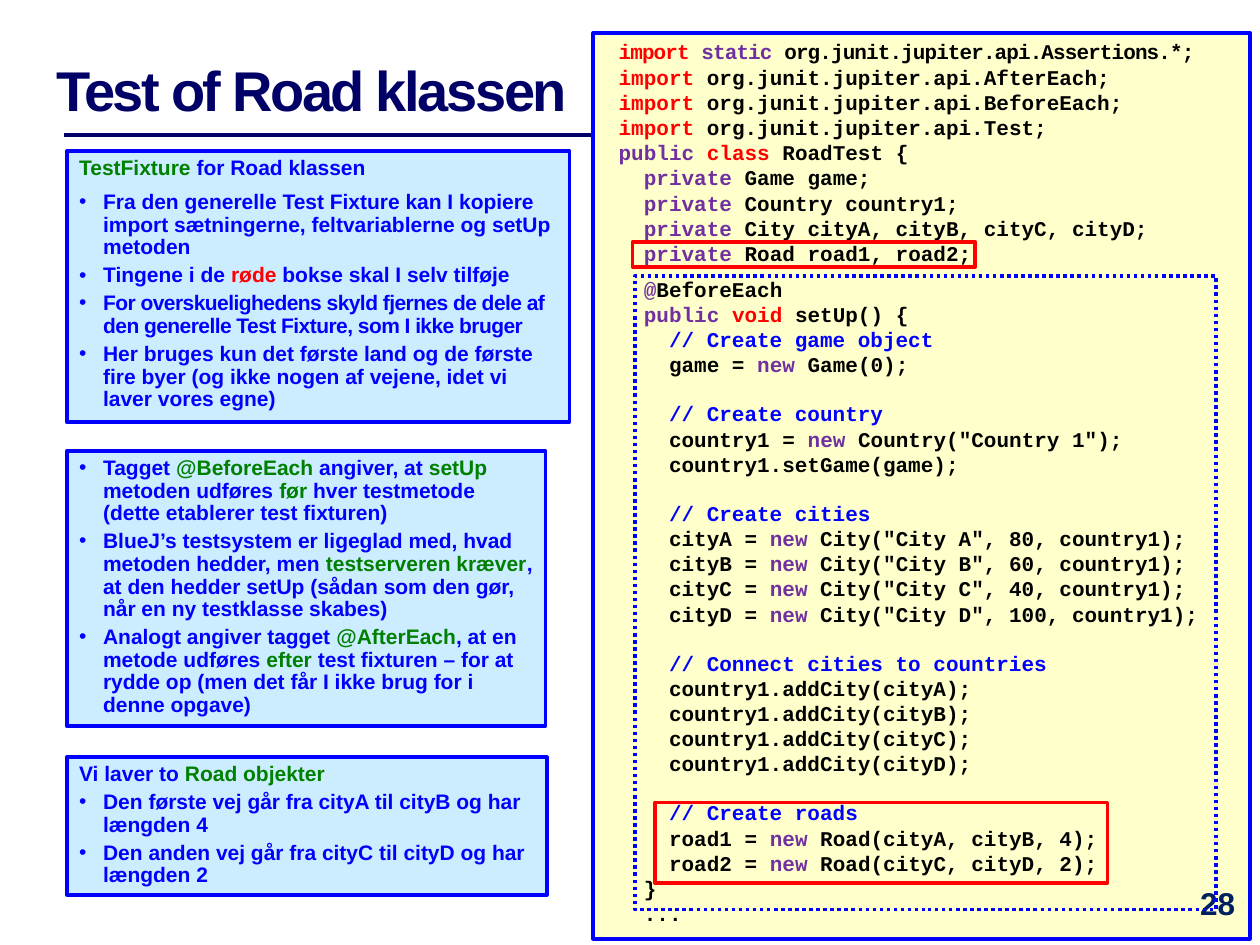
from itertools import groupby

from lxml.etree import SubElement
from pptx import Presentation
from pptx.dml.color import RGBColor
from pptx.enum.dml import MSO_LINE
from pptx.enum.shapes import MSO_CONNECTOR, MSO_SHAPE
from pptx.enum.text import MSO_ANCHOR, MSO_AUTO_SIZE, PP_ALIGN
from pptx.oxml.ns import qn
from pptx.util import Inches, Pt

BLUE, GREEN, RED = "0000FF", "008000", "FF0000"
BLACK, PURPLE, NAVY = "000000", "7030A0", "000066"
KEYS = dict.fromkeys(("import", "class", "void"), RED)
KEYS.update(dict.fromkeys(("static", "public", "private", "new"), PURPLE))

FIELDS = """import static org.junit.jupiter.api.Assertions.*;
import org.junit.jupiter.api.AfterEach;
import org.junit.jupiter.api.BeforeEach;
import org.junit.jupiter.api.Test;
public class RoadTest {
  private Game game;
  private Country country1;
  private City cityA, cityB, cityC, cityD;
  private Road road1, road2;"""
SETUP = """  @BeforeEach
  public void setUp() {
    // Create game object
    game = new Game(0);"""
COUNTRY = """    // Create country
    country1 = new Country("Country 1");
    country1.setGame(game);"""
CITIES = """    // Create cities
    cityA = new City("City A", 80, country1);
    cityB = new City("City B", 60, country1);
    cityC = new City("City C", 40, country1);
    cityD = new City("City D", 100, country1);"""
CONNECT = """    // Connect cities to countries
    country1.addCity(cityA);
    country1.addCity(cityB);
    country1.addCity(cityC);
    country1.addCity(cityD);"""
ROADS = """    // Create roads
    road1 = new Road(cityA, cityB, 4);
    road2 = new Road(cityC, cityD, 2);
  }
  ..."""
BLOCKS = [(FIELDS, 0), (SETUP, 6), (COUNTRY, 13.6), (CITIES, 13.6),
          (CONNECT, 13.6), (ROADS, 13.6)]


def paint(color, code):
    """Set a colour format from a hex string."""
    color.rgb = RGBColor.from_string(code)


def add_rule(slide, left, right, y):
    """Draw the line under the title."""
    rule = slide.shapes.add_connector(
        MSO_CONNECTOR.STRAIGHT, Inches(left), Inches(y), Inches(right), Inches(y))
    paint(rule.line.color, NAVY)
    rule.line.width = Pt(2)
    SubElement(rule._element.spPr, qn("a:effectLst"))


def add_rect(slide, area, line, width, fill=None, dash=None):
    """Draw a bordered rectangle and return it."""
    rect = slide.shapes.add_shape(MSO_SHAPE.RECTANGLE, *map(Inches, area))
    rect.shadow.inherit = False
    paint(rect.line.color, line)
    rect.line.width = Pt(width)
    if dash:
        rect.line.dash_style = dash
    if fill:
        rect.fill.solid()
        paint(rect.fill.fore_color, fill)
    else:
        rect.fill.background()
    return rect


def set_frame(shape):
    """Prepare a top-aligned, growing text frame."""
    frame = shape.text_frame
    frame.word_wrap = True
    frame.vertical_anchor = MSO_ANCHOR.TOP
    frame.auto_size = MSO_AUTO_SIZE.SHAPE_TO_FIT_TEXT
    return frame


def add_para(frame, index):
    """Return the first paragraph or a new one, left aligned."""
    para = frame.add_paragraph() if index else frame.paragraphs[0]
    para.alignment = PP_ALIGN.LEFT
    return para


def set_font(para, name, size):
    """Set the bold font of a paragraph."""
    para.font.name, para.font.size, para.font.bold = name, Pt(size), True


def add_runs(para, parts, track=0):
    """Add coloured runs, tracked by a number of points."""
    for text, color in parts:
        run = para.add_run()
        run.text = text
        paint(run.font.color, color)
        if track:
            run._r.get_or_add_rPr().set("spc", str(round(track * 100)))


def set_bullet(para):
    """Give a paragraph a hanging round bullet."""
    props = para._p.get_or_add_pPr()
    props.set("marL", str(Inches(0.19)))
    props.set("indent", str(-Inches(0.19)))
    SubElement(props, qn("a:buFont")).set("typeface", "Arial")
    SubElement(props, qn("a:buChar")).set("char", "•")


def add_card(slide, area, rows, head=False):
    """Draw a note of (text, gap, track, accent) rows; stars mark the accent."""
    frame = set_frame(add_rect(slide, area, BLUE, 2.25, "CCECFF"))
    for index, (text, gap, track, accent) in enumerate(rows):
        para = add_para(frame, index)
        para.line_spacing = 0.9
        if index:
            para.space_before = Pt(gap)
        if index or not head:
            set_bullet(para)
        set_font(para, "Arial", 12)
        parts = [(bit, accent if spot % 2 else BLUE)
                 for spot, bit in enumerate(text.split("*")) if bit]
        add_runs(para, parts, track)


def row(text, gap=3, track=0, accent=GREEN):
    """Return one note row with the usual values."""
    return text, gap, track, accent


def tint(line):
    """Split a code line into coloured parts."""
    if "//" in line:
        return [(line, BLUE)]
    lead, sign, rest = line.partition("@")
    if sign:
        return [(lead + sign, PURPLE), (rest, BLACK)]
    words = line.split(" ")
    words = [word + " " for word in words[:-1]] + words[-1:]
    groups = groupby(words, lambda word: KEYS.get(word.strip(), BLACK))
    return [("".join(group), color) for color, group in groups]


def add_code(slide, area):
    """Draw the code panel, with a gap before each block."""
    frame = set_frame(add_rect(slide, area, BLUE, 2.25, "FFFFCC"))
    frame.margin_left = Inches(0.2)
    lines = [(line, 0 if spot else gap) for block, gap in BLOCKS
             for spot, line in enumerate(block.split("\n"))]
    for index, (line, gap) in enumerate(lines):
        para = add_para(frame, index)
        if gap:
            para.space_before = Pt(gap)
        set_font(para, "Courier New", 12)
        add_runs(para, tint(line), 0 if index else -0.5)


def add_label(slide, area, text, size, color, align, track=0):
    """Add a line of plain bold text."""
    frame = slide.shapes.add_textbox(*map(Inches, area)).text_frame
    frame.word_wrap = True
    frame.vertical_anchor = MSO_ANCHOR.MIDDLE if track else MSO_ANCHOR.TOP
    para = frame.paragraphs[0]
    para.alignment = align
    set_font(para, "Arial", size)
    add_runs(para, [(text, color)], track)


def main():
    """Build the slide and save it."""
    deck = Presentation()
    deck.slide_width, deck.slide_height = Inches(10), Inches(7.5)
    slide = deck.slides.add_slide(deck.slide_layouts[6])
    add_rule(slide, 0.51, 9.49, 1.07)
    add_code(slide, (4.71, 0.26, 5.21, 7.19))
    add_label(slide, (9.33, 6.97, 0.67, 0.5), "28", 18, "002060", PP_ALIGN.CENTER)
    add_card(slide, (0.53, 1.2, 3.99, 2.15), [
        row("*TestFixture* for Road klassen"),
        row("Fra den generelle Test Fixture kan I kopiere import sætningerne, "
            "feltvariablerne og setUp metoden", gap=6.5),
        row("Tingene i de *røde *bokse skal I selv tilføje", accent=RED),
        row("For overskuelighedens skyld fjernes de dele af den generelle "
            "Test Fixture, som I ikke bruger", track=-0.3),
        row("Her bruges kun det første land og de første fire byer "
            "(og ikke nogen af vejene, idet vi laver vores egne)")], head=True)
    add_label(slide, (0.35, 0.33, 4.41, 0.75), "Test of Road klassen", 32, NAVY,
              PP_ALIGN.LEFT, -1.4)
    for area in ((5.02, 1.92, 2.72, 0.2), (5.2, 6.37, 3.59, 0.64)):
        add_rect(slide, area, RED, 2)
    add_card(slide, (0.53, 6.01, 3.81, 1.09), [
        row("Vi laver to *Road objekter*"),
        row("Den første vej går fra cityA til cityB og har længden 4"),
        row("Den anden vej går fra cityC til cityD og har længden 2")], head=True)
    add_rect(slide, (5.04, 2.19, 4.61, 5.03), BLUE, 2, dash=MSO_LINE.ROUND_DOT)
    add_card(slide, (0.53, 3.58, 3.8, 2.18), [
        row("Tagget *@BeforeEach* angiver, at *setUp* metoden udføres *før* "
            "hver testmetode (dette etablerer test fixturen)"),
        row("BlueJ’s testsystem er ligeglad med, hvad metoden hedder, men "
            "*testserveren kræver*, at den hedder setUp (sådan som den gør, "
            "når en ny testklasse skabes)"),
        row("Analogt angiver tagget *@AfterEach*, at en metode udføres *efter* "
            "test fixturen – for at rydde op (men det får I ikke brug for i "
            "denne opgave)")])
    deck.save("out.pptx")


if __name__ == "__main__":
    main()
